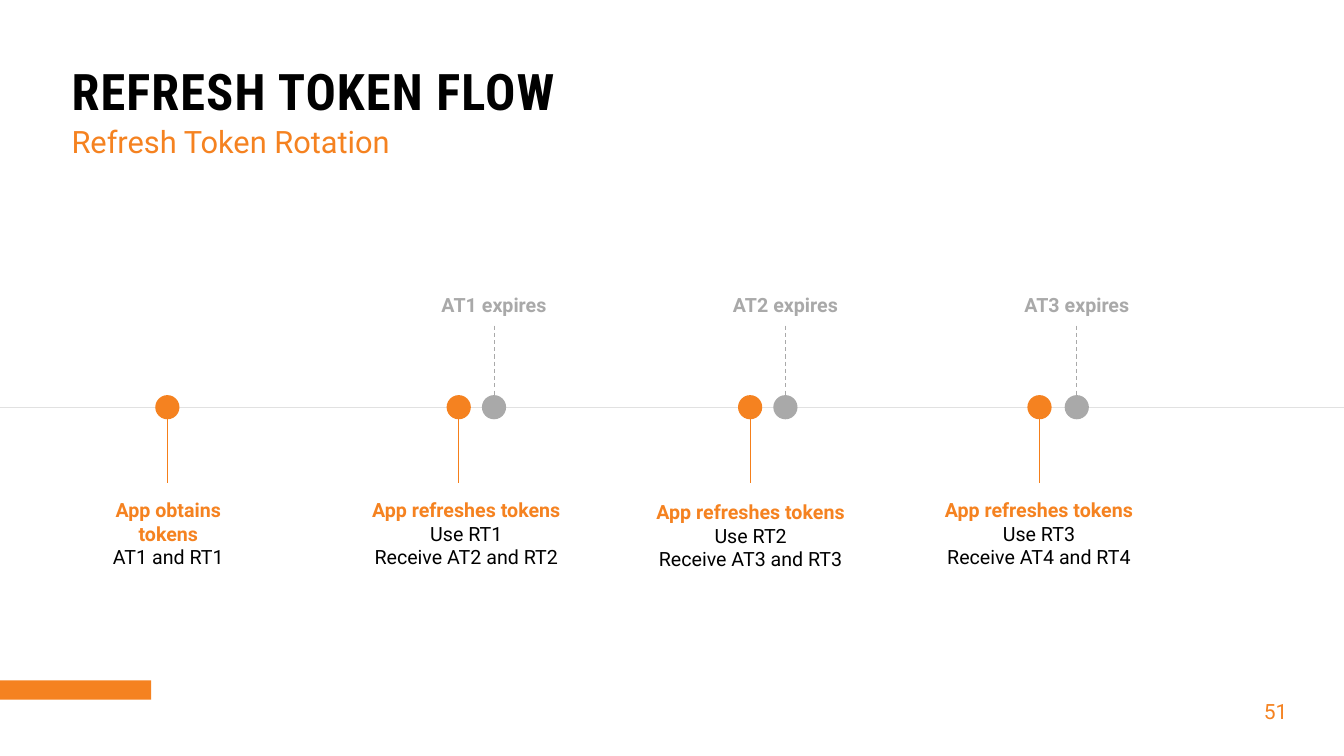
from dataclasses import dataclass

from lxml.etree import SubElement
from pptx import Presentation
from pptx.dml.color import RGBColor
from pptx.enum.dml import MSO_LINE
from pptx.enum.shapes import MSO_CONNECTOR, MSO_SHAPE
from pptx.enum.text import MSO_ANCHOR, MSO_AUTO_SIZE, PP_ALIGN
from pptx.oxml.ns import qn
from pptx.shapes.autoshape import Shape
from pptx.shapes.connector import Connector
from pptx.shapes.group import GroupShape
from pptx.shapes.shapetree import SlideShapes
from pptx.text.text import TextFrame, _Paragraph as Paragraph, _Run as Run
from pptx.util import Inches, Pt

ORANGE = RGBColor(0xF5, 0x82, 0x20)
STEM_ORANGE = RGBColor(0xF5, 0x7F, 0x1A)
GREY = RGBColor(0xA9, 0xA9, 0xA9)
AXIS_GREY = RGBColor(0xE1, 0xE1, 0xE1)
BLACK = RGBColor(0, 0, 0)

BODY_FONT = "Roboto"
TITLE_FONT = "Roboto Condensed"

SLIDE_WIDTH, SLIDE_HEIGHT = 13.33, 7.5
AXIS_Y = 4.04
DOT_SIZE = 0.24
DOT_RADIUS = DOT_SIZE / 2
EXPIRY_START, EXPIRY_STEP = 4.9, 2.89


@dataclass(frozen=True)
class Refresh:
    """An app action below the timeline."""
    center: float
    caption_left: float
    caption_top: float
    caption_width: float
    heading: str
    details: tuple[str, ...]


REFRESHES = (
    Refresh(1.66, 0.92, 4.94, 1.5, "App obtains tokens", ("AT1 and RT1",)),
    Refresh(4.55, 3.68, 4.94, 1.89, "App refreshes tokens",
            ("Use RT1", "Receive AT2 and RT2")),
    Refresh(7.44, 6.5, 4.96, 1.89, "App refreshes tokens",
            ("Use RT2", "Receive AT3 and RT3")),
    Refresh(10.31, 9.36, 4.94, 1.89, "App refreshes tokens",
            ("Use RT3", "Receive AT4 and RT4")),
)
EXPIRIES = ("AT1 expires", "AT2 expires", "AT3 expires")


def place(shape: Shape, left: float, top: float, width: float, height: float) -> None:
    shape.left, shape.top = Inches(left), Inches(top)
    shape.width, shape.height = Inches(width), Inches(height)


def prepare_frame(frame: TextFrame) -> None:
    frame.margin_left = frame.margin_right = 0
    frame.margin_top = frame.margin_bottom = 0
    frame.word_wrap = True
    frame.auto_size = MSO_AUTO_SIZE.NONE
    frame.vertical_anchor = MSO_ANCHOR.TOP


def add_text_box(shapes: SlideShapes, left: float, top: float,
                 width: float, height: float) -> TextFrame:
    box = shapes.add_textbox(Inches(left), Inches(top), Inches(width), Inches(height))
    prepare_frame(box.text_frame)
    return box.text_frame


def add_run(paragraph: Paragraph, text: str, size: float, color: RGBColor,
            bold: bool = False, font: str = BODY_FONT) -> Run:
    run = paragraph.add_run()
    run.text = text
    run.font.name = font
    run.font.size = Pt(size)
    run.font.bold = bold
    run.font.color.rgb = color
    return run


def add_line(shapes: SlideShapes, x1: float, y1: float, x2: float, y2: float,
             color: RGBColor) -> Connector:
    line = shapes.add_connector(MSO_CONNECTOR.STRAIGHT, Inches(x1), Inches(y1),
                                Inches(x2), Inches(y2))
    line.line.color.rgb = color
    line.line.width = Pt(0.75)
    SubElement(line._element.spPr, qn("a:effectLst"))
    return line


def add_filled(shapes: SlideShapes, kind: MSO_SHAPE, left: float, top: float,
               width: float, height: float, color: RGBColor) -> None:
    shape = shapes.add_shape(kind, Inches(left), Inches(top), Inches(width), Inches(height))
    shape.shadow.inherit = False
    shape.fill.solid()
    shape.fill.fore_color.rgb = color
    shape.line.fill.background()


def add_dot(group: GroupShape, center: float, color: RGBColor) -> None:
    add_filled(group.shapes, MSO_SHAPE.OVAL, center - DOT_RADIUS, AXIS_Y - DOT_RADIUS,
               DOT_SIZE, DOT_SIZE, color)


def add_expiry(shapes: SlideShapes, center: float, label: str) -> None:
    group = shapes.add_group_shape()
    add_dot(group, center, GREY)
    stem = add_line(group.shapes, center, 3.23, center, AXIS_Y - DOT_RADIUS, GREY)
    stem.line.dash_style = MSO_LINE.DASH
    paragraph = add_text_box(group.shapes, center - 0.75, 2.91, 1.5, 0.24).paragraphs[0]
    paragraph.alignment = PP_ALIGN.CENTER
    add_run(paragraph, label, 14, GREY, bold=True)


def add_refresh(shapes: SlideShapes, refresh: Refresh) -> None:
    group = shapes.add_group_shape()
    add_line(group.shapes, refresh.center, 4.79, refresh.center, AXIS_Y + DOT_RADIUS,
             STEM_ORANGE)
    add_dot(group, refresh.center, ORANGE)
    frame = add_text_box(group.shapes, refresh.caption_left, refresh.caption_top,
                         refresh.caption_width, 0.71)
    heading = frame.paragraphs[0]
    heading.alignment = PP_ALIGN.CENTER
    add_run(heading, refresh.heading, 14, ORANGE, bold=True)
    details = frame.add_paragraph()
    details.alignment = PP_ALIGN.CENTER
    for index, detail in enumerate(refresh.details):
        if index:
            details.add_line_break()
        add_run(details, detail, 14, BLACK)


def main() -> None:
    presentation = Presentation()
    presentation.slide_width = Inches(SLIDE_WIDTH)
    presentation.slide_height = Inches(SLIDE_HEIGHT)
    slide = presentation.slides.add_slide(presentation.slide_layouts[5])
    shapes = slide.shapes

    # Title and subtitle
    title = shapes.title
    place(title, 0.71, 0.65, 12.06, 0.49)
    prepare_frame(title.text_frame)
    paragraph = title.text_frame.paragraphs[0]
    paragraph.alignment = PP_ALIGN.LEFT
    paragraph.line_spacing = 0.94
    run = add_run(paragraph, "REFRESH TOKEN FLOW", 36, BLACK, bold=True, font=TITLE_FONT)
    run._r.get_or_add_rPr().set("spc", "80")

    subtitle = add_text_box(shapes, 0.71, 1.13, 6.97, 0.5).paragraphs[0]
    subtitle.line_spacing = 1.25
    add_run(subtitle, "Refresh Token Rotation", 22, ORANGE)

    # Footer band and slide number
    add_filled(shapes, MSO_SHAPE.RECTANGLE, 0, 6.75, 1.5, 0.19, ORANGE)
    number = add_text_box(shapes, 12.2, 6.93, 0.57, 0.28).paragraphs[0]
    number.alignment = PP_ALIGN.RIGHT
    add_run(number, "51", 15, ORANGE)

    # Timeline
    add_line(shapes, 0, AXIS_Y, SLIDE_WIDTH, AXIS_Y, AXIS_GREY)
    for index, label in enumerate(EXPIRIES):
        add_expiry(shapes, EXPIRY_START + index * EXPIRY_STEP, label)
    for refresh in REFRESHES:
        add_refresh(shapes, refresh)

    presentation.save("out.pptx")


if __name__ == "__main__":
    main()
